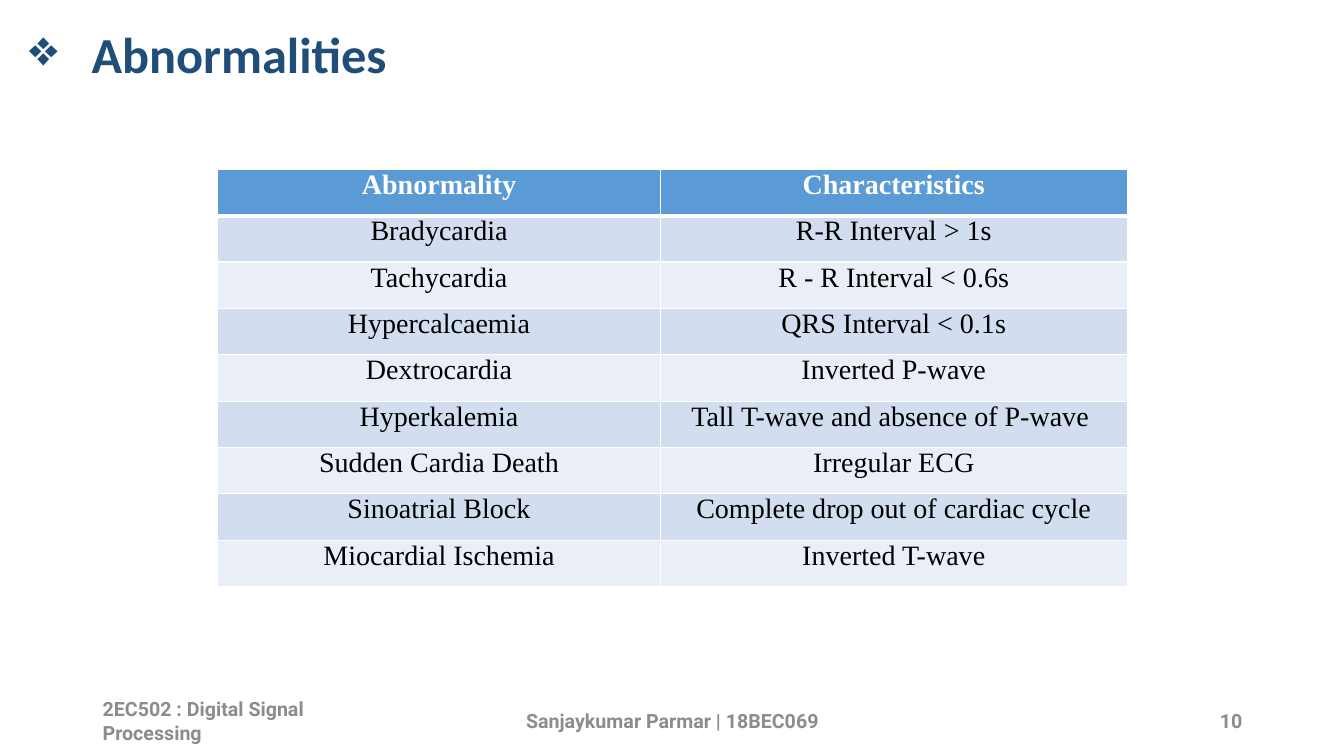
import pptx
import pptx.util
import pptx.dml.color
import pptx.enum.text
import pptx.oxml.ns
import lxml.etree

TITLE = "Abnormalities"
TITLE_BOX = (19, 18, 1297, 77)
TITLE_INDENT = 62
ALIGN = pptx.enum.text.PP_ALIGN
FOOTERS = [
    ("2EC502 : Digital Signal Processing", (92, 695, 300, 40), ALIGN.LEFT),
    ("Sanjaykumar Parmar | 18BEC069", (442, 695, 450, 40), ALIGN.CENTER),
    ("10", (942, 695, 300, 40), ALIGN.RIGHT),
]
ROWS = [
    ("Abnormality", "Characteristics"),
    ("Bradycardia", "R-R Interval > 1s"),
    ("Tachycardia", "R - R Interval < 0.6s"),
    ("Hypercalcaemia", "QRS Interval < 0.1s"),
    ("Dextrocardia", "Inverted P-wave"),
    ("Hyperkalemia", "Tall T-wave and absence of P-wave "),
    ("Sudden Cardia Death", "Irregular ECG"),
    ("Sinoatrial Block", "Complete drop out of cardiac cycle"),
    ("Miocardial Ischemia", "Inverted T-wave"),
]
TABLE_LEFT, TABLE_TOP = 216, 168
COLUMN_WIDTHS = (439, 463)
ROW_HEIGHT = 46
CELL_INSET = 7
COLORS = {
    "title": "1F4E79",
    "footer": "8C8C8C",
    "header": "5B9BD5",
    "odd": "D2DEEF",
    "even": "EAEFF7",
    "white": "FFFFFF",
    "black": "000000",
}
EMU_PER_PX = 9144


def px(length):
    return pptx.util.Emu(length * EMU_PER_PX)


def rgb(name):
    return pptx.dml.color.RGBColor.from_string(COLORS[name])


def write_text(frame, text, *, size, font, color, bold=False, align=ALIGN.LEFT):
    paragraph = frame.paragraphs[0]
    paragraph.alignment = align
    run = paragraph.add_run()
    run.text = text
    run.font.size = pptx.util.Pt(size)
    run.font.name = font
    run.font.bold = bold
    run.font.color.rgb = rgb(color)
    return paragraph


def add_text_box(slide, text, box, **text_format):
    frame = slide.shapes.add_textbox(*map(px, box)).text_frame
    frame.word_wrap = True
    frame.vertical_anchor = pptx.enum.text.MSO_ANCHOR.MIDDLE
    return write_text(frame, text, **text_format)


def add_child(parent, tag, **attributes):
    return lxml.etree.SubElement(parent, pptx.oxml.ns.qn(tag), attributes)


def add_bullet(paragraph, character, indent):
    properties = paragraph._p.get_or_add_pPr()
    properties.set("marL", str(px(indent)))
    properties.set("indent", str(-px(indent)))
    add_child(properties, "a:buChar", char=character)


def set_borders(cell, widths):
    properties = cell._tc.get_or_add_tcPr()
    for position, (side, width) in enumerate(widths.items()):
        line = add_child(properties, f"a:{side}", w=str(pptx.util.Pt(width)))
        add_child(add_child(line, "a:solidFill"), "a:srgbClr", val=COLORS["white"])
        properties.insert(position, line)


def add_abnormality_table(slide):
    frame = slide.shapes.add_table(
        len(ROWS), len(COLUMN_WIDTHS), px(TABLE_LEFT), px(TABLE_TOP),
        px(sum(COLUMN_WIDTHS)), px(ROW_HEIGHT * len(ROWS)))
    table = frame.table
    for column, width in zip(table.columns, COLUMN_WIDTHS):
        column.width = px(width)
    for row_index, texts in enumerate(ROWS):
        table.rows[row_index].height = px(ROW_HEIGHT)
        is_header = row_index == 0
        fill = "header" if is_header else "odd" if row_index % 2 else "even"
        borders = {"lnL": 1, "lnR": 1, "lnT": 3 if row_index == 1 else 1,
                   "lnB": 3 if is_header else 1}
        for column_index, text in enumerate(texts):
            cell = table.cell(row_index, column_index)
            cell.margin_left = cell.margin_right = px(CELL_INSET)
            cell.margin_top = cell.margin_bottom = 0
            cell.fill.solid()
            cell.fill.fore_color.rgb = rgb(fill)
            set_borders(cell, borders)
            write_text(cell.text_frame, text, size=20, font="Times New Roman",
                       color="white" if is_header else "black",
                       bold=is_header, align=ALIGN.CENTER)


def main():
    presentation = pptx.Presentation()
    presentation.slide_width = px(1333)
    presentation.slide_height = px(750)
    slide = presentation.slides.add_slide(presentation.slide_layouts[6])
    heading = add_text_box(slide, TITLE, TITLE_BOX, size=36, font="Calibri",
                           color="title", bold=True)
    heading.line_spacing = 0.9
    add_bullet(heading, "❖", TITLE_INDENT)
    add_abnormality_table(slide)
    for text, box, align in FOOTERS:
        add_text_box(slide, text, box, size=14, font="Roboto",
                     color="footer", bold=True, align=align)
    presentation.save("out.pptx")


if __name__ == "__main__":
    main()
